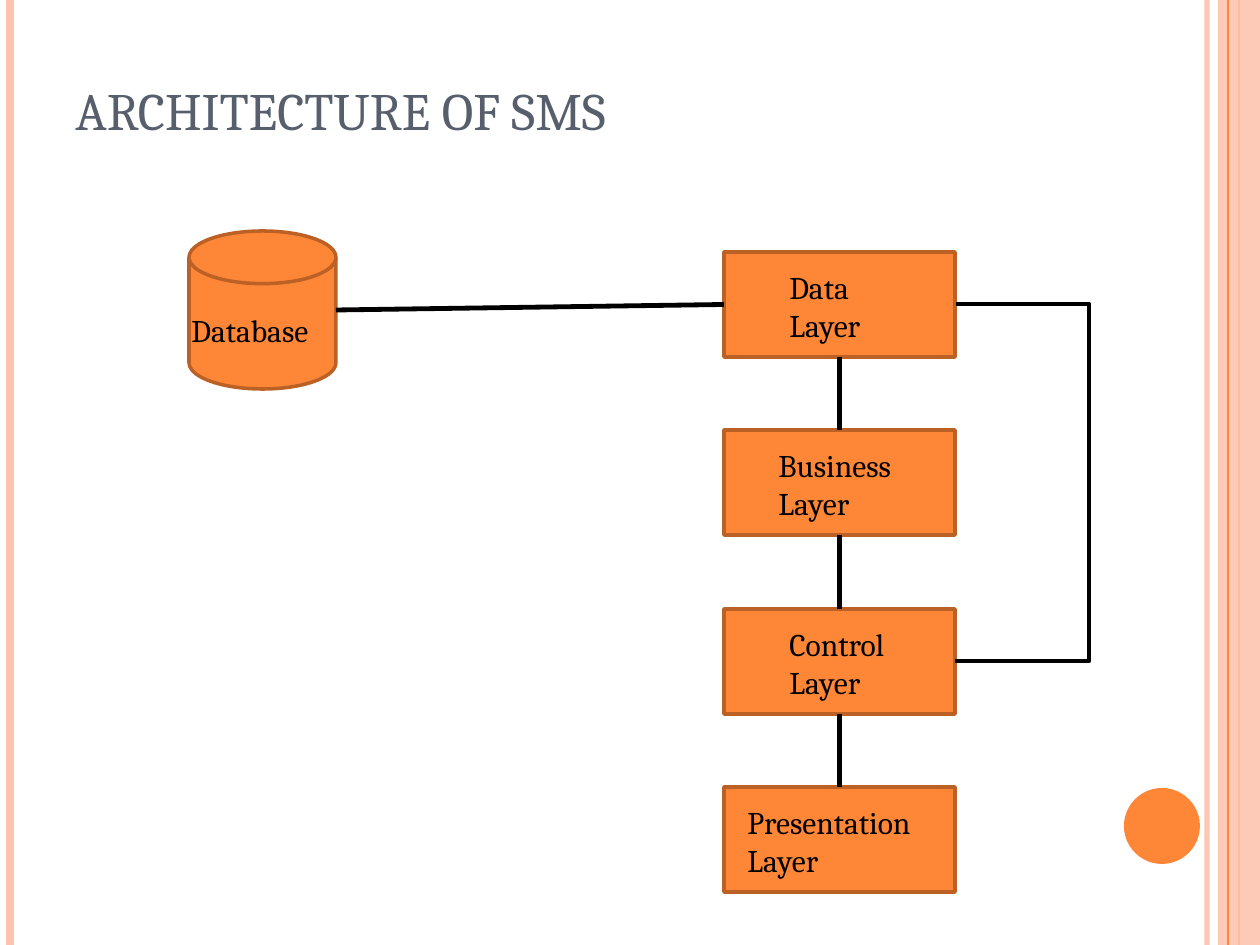
from lxml import etree
from pptx import Presentation
from pptx.dml.color import RGBColor
from pptx.enum.shapes import MSO_CONNECTOR, MSO_SHAPE
from pptx.enum.text import MSO_ANCHOR
from pptx.oxml.ns import qn
from pptx.util import Emu, Pt

STRAIGHT, ELBOW = MSO_CONNECTOR.STRAIGHT, MSO_CONNECTOR.ELBOW
RECTANGLE, OVAL = MSO_SHAPE.RECTANGLE, MSO_SHAPE.OVAL
PROCESS, DISK = MSO_SHAPE.FLOWCHART_PROCESS, MSO_SHAPE.FLOWCHART_MAGNETIC_DISK
TOP, BOTTOM = MSO_ANCHOR.TOP, MSO_ANCHOR.BOTTOM
SIDE_TOP, SIDE_LEFT, SIDE_BOTTOM = 0, 1, 2

ORANGE, RUST, PEACH = "FE8637", "BB6126", "FEC3AE"
BLACK, SLATE = "000000", "575F6D"


def px(length):
    return Emu(round(length * 914400 / 126))


def color(value):
    return RGBColor.from_string(value)


def set_alpha(fill_parent, percent):
    tint = fill_parent.find(qn("a:solidFill"))[0]
    etree.SubElement(tint, qn("a:alpha")).set("val", str(percent * 1000))


class SlideBuilder:
    font = "Cambria"

    def __init__(self, deck):
        self.slide = deck.slides.add_slide(deck.slide_layouts[6])
        self.shapes = self.slide.shapes

    def shape(self, kind, left, top, width, height, fill=ORANGE, line=None, alpha=None):
        shape = self.shapes.add_shape(kind, px(left), px(top), px(width), px(height))
        shape.shadow.inherit = False
        shape.fill.solid()
        shape.fill.fore_color.rgb = color(fill)
        if alpha:
            set_alpha(shape._element.spPr, alpha)
        if line:
            shape.line.color.rgb = color(line)
            shape.line.width = Pt(2)
        else:
            shape.line.fill.background()
        return shape

    def line(self, start, end, ink=BLACK, weight=2.75, kind=STRAIGHT, alpha=None):
        line = self.shapes.add_connector(kind, *map(px, start + end))
        line.line.color.rgb = color(ink)
        line.line.width = Pt(weight)
        properties = line._element.spPr
        if alpha:
            set_alpha(properties.find(qn("a:ln")), alpha)
        etree.SubElement(properties, qn("a:effectLst"))
        return line

    def elbow(self, start, end, reach):
        """Draw a bent line whose middle part lies reach px right of start."""
        line = self.line(start, end, kind=ELBOW)
        geometry = line._element.spPr.find(qn("a:prstGeom"))
        guides = geometry.find(qn("a:avLst"))
        if guides is None:
            guides = etree.SubElement(geometry, qn("a:avLst"))
        guide = etree.SubElement(guides, qn("a:gd"))
        guide.set("name", "adj1")
        guide.set("fmla", f"val {reach * 100000 // (end[0] - start[0])}")

    def text(self, words, left, top, width, height, size=18, ink=BLACK, anchor=TOP):
        box = self.shapes.add_textbox(px(left), px(top), px(width), px(height))
        frame = box.text_frame
        frame.word_wrap = True
        frame.vertical_anchor = anchor
        span = frame.paragraphs[0].add_run()
        span.text = words
        span.font.name = self.font
        span.font.size = Pt(size)
        span.font.color.rgb = color(ink)


def main():
    deck = Presentation()
    deck.slide_width, deck.slide_height = px(1260), px(945)
    page = SlideBuilder(deck)

    # Border stripes and corner disc
    page.line((1207, 0), (1207, 945), PEACH, 3, alpha=93)
    page.line((10, 0), (10, 945), PEACH, 4.5)
    page.line((1239, 0), (1239, 945), ORANGE, 1.5)
    page.shape(RECTANGLE, 1218, 0, 42, 945, PEACH, alpha=87)
    page.line((1228, 0), (1228, 945), ORANGE, 0.75)
    page.shape(OVAL, 1124, 788, 76, 76)

    # Title
    page.text("ARCHITECTURE OF SMS", 63, 38, 1029, 109, size=30, ink=SLATE, anchor=BOTTOM)

    # Database and the stack of layers
    page.shape(DISK, 189, 231, 147, 158, line=RUST)
    left, width, height = 724, 231, 105
    tops = [252 + 357 * row // 2 for row in range(4)]
    layers = [page.shape(PROCESS, left, top, width, height, line=RUST) for top in tops]

    # Links
    data_middle, control_middle = tops[0] + 52, tops[2] + 52
    link = page.line((336, 310), (left, data_middle))
    link.end_connect(layers[0], SIDE_LEFT)
    center = left + width / 2
    for row, (upper, lower) in enumerate(zip(layers, layers[1:])):
        link = page.line((center, tops[row] + height), (center, tops[row + 1]))
        link.begin_connect(upper, SIDE_BOTTOM)
        link.end_connect(lower, SIDE_TOP)
    right = left + width
    page.elbow((right, control_middle), (right + 1, data_middle), reach=135)

    # Labels
    page.text("Database", 179, 305, 168, 50)
    labels = [("Data Layer", 777, 126), ("Business Layer", 766, 168),
              ("Control Layer", 777, 147), ("Presentation Layer", 735, 220)]
    for top, (words, label_left, label_width) in zip(tops, labels):
        page.text(words, label_left, top + 10, label_width, 88)

    deck.save("out.pptx")


if __name__ == "__main__":
    main()
